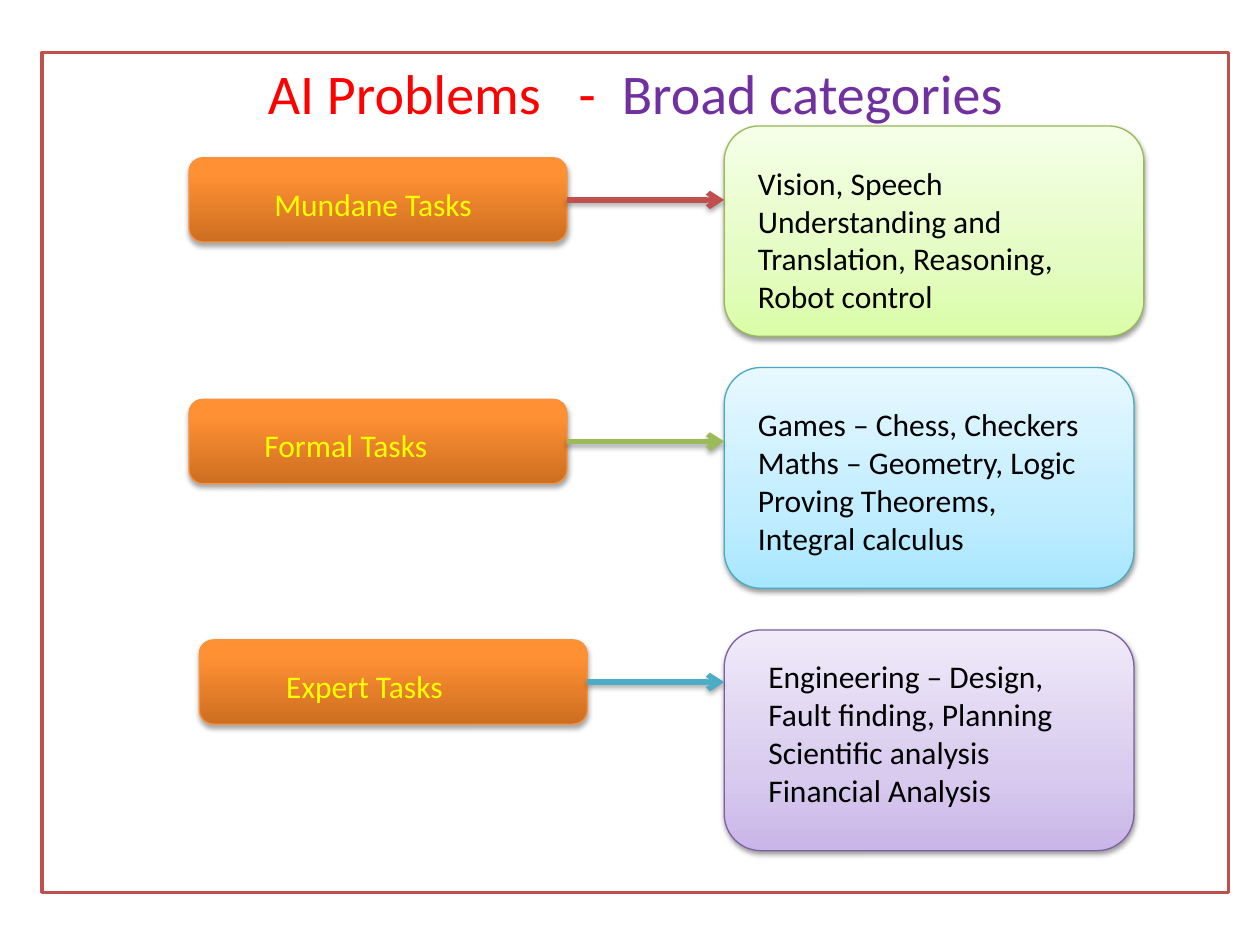
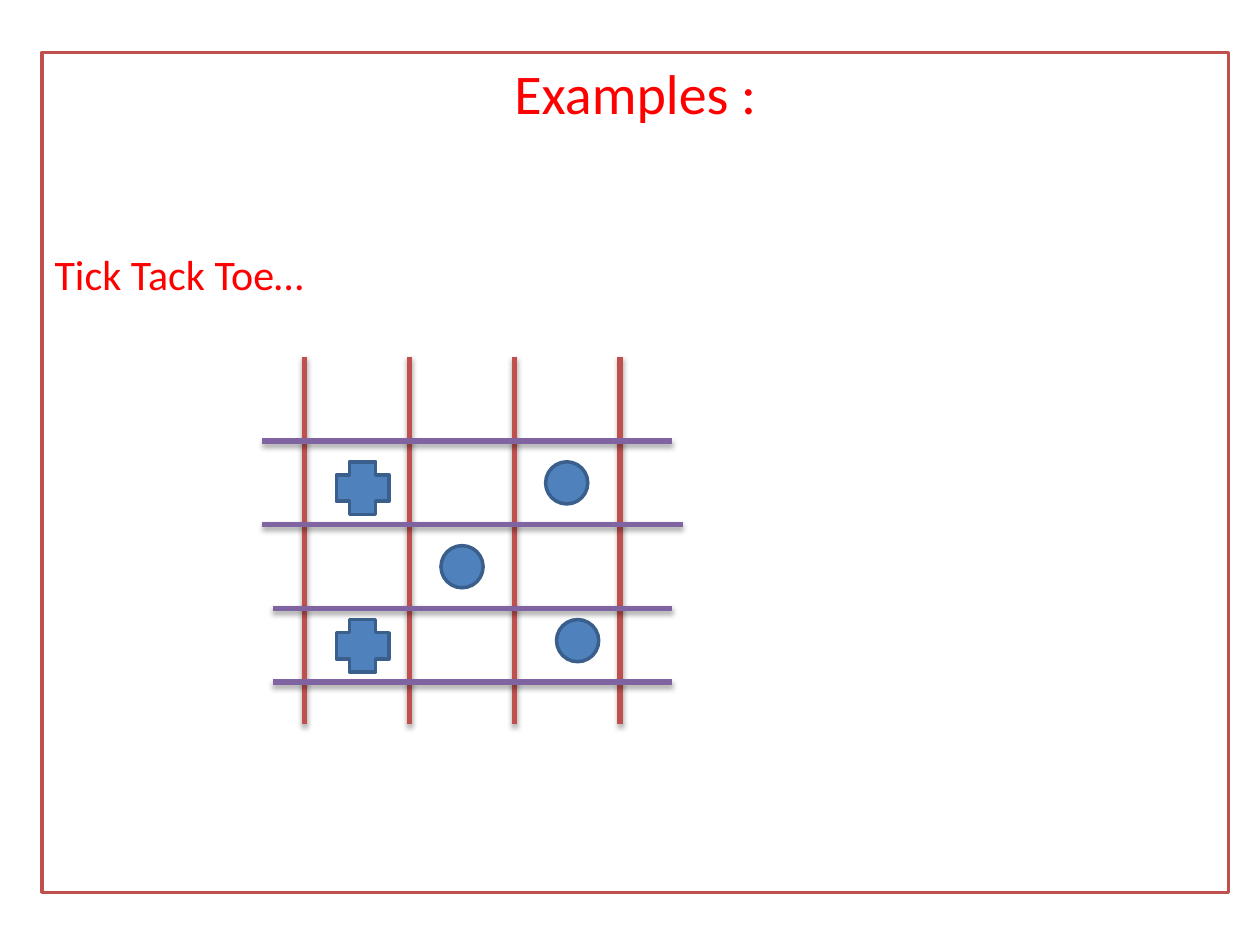
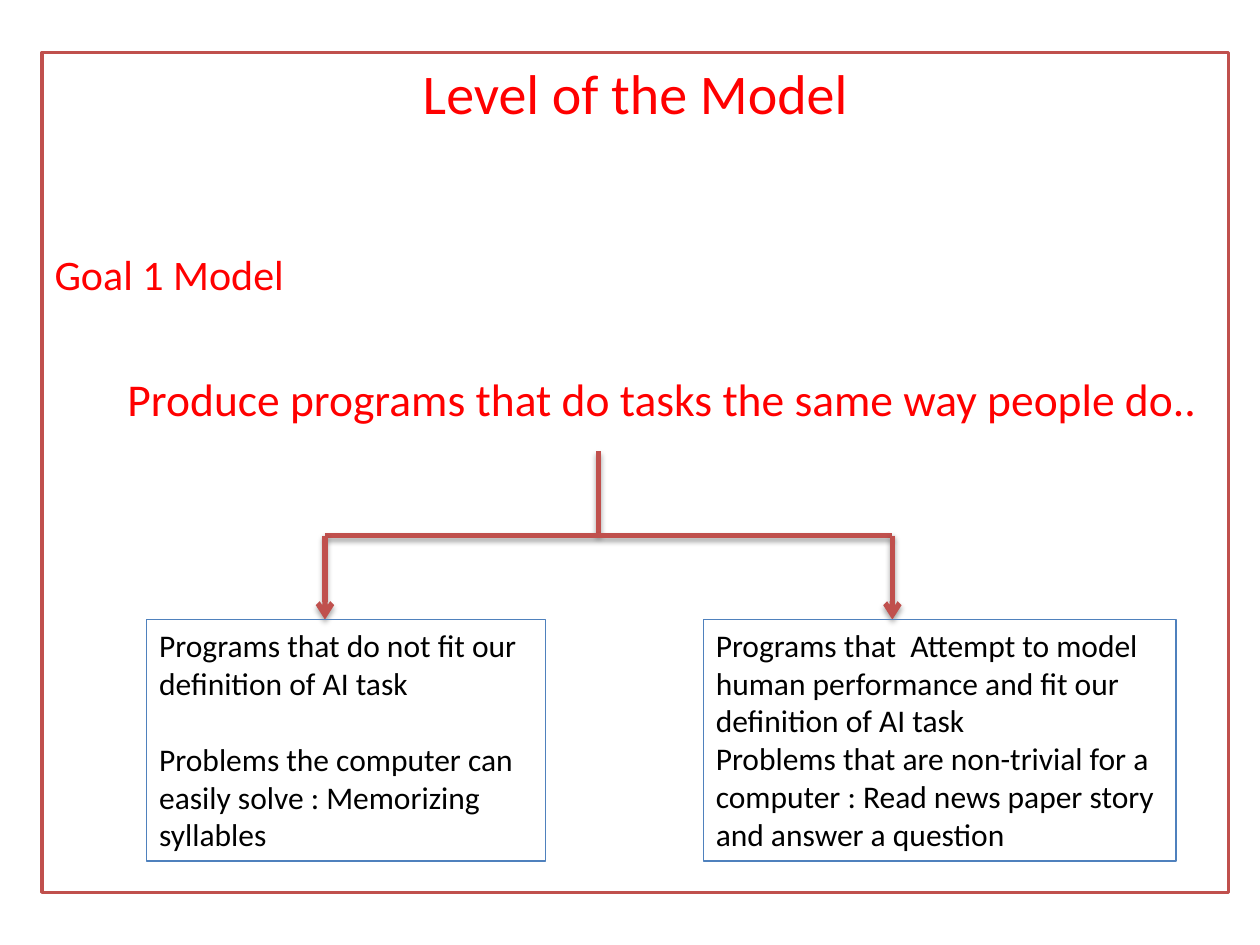
from collections import namedtuple
from copy import deepcopy

from pptx import Presentation, oxml
from pptx.dml.color import RGBColor
from pptx.enum import shapes, text
from pptx.oxml import ns
from pptx.util import Cm, Pt

FONT = "Calibri"
WHITE = RGBColor(0xFF, 0xFF, 0xFF)
BLACK = RGBColor(0x00, 0x00, 0x00)
RED = RGBColor(0xFF, 0x00, 0x00)
YELLOW = RGBColor(0xFF, 0xFF, 0x00)
TITLE_PURPLE = RGBColor(0x70, 0x30, 0xA0)
BRICK = RGBColor(0xC0, 0x50, 0x4D)
GREEN = RGBColor(0x9B, 0xBB, 0x59)
AQUA = RGBColor(0x4B, 0xAC, 0xC6)
PURPLE = RGBColor(0x80, 0x64, 0xA2)
BLUE = RGBColor(0x4F, 0x81, 0xBD)
DARK_BLUE = RGBColor(0x3A, 0x5F, 0x8C)
ORANGE_EDGE = RGBColor(0xF6, 0x92, 0x40)
GREEN_EDGE = RGBColor(0x98, 0xB9, 0x55)
AQUA_EDGE = RGBColor(0x46, 0xAA, 0xC5)
PURPLE_EDGE = RGBColor(0x7D, 0x60, 0xA0)

ORANGE_FADE = [(0, RGBColor(0xCC, 0x6E, 0x20)), (0.8, RGBColor(0xFF, 0x90, 0x34)),
               (1, RGBColor(0xFF, 0x91, 0x36))]
GREEN_FADE = [(0, RGBColor(0xDA, 0xFD, 0xA7)), (0.35, RGBColor(0xE4, 0xFC, 0xC2)),
              (1, RGBColor(0xF5, 0xFF, 0xE7))]
AQUA_FADE = [(0, RGBColor(0xA7, 0xE6, 0xFF)), (0.35, RGBColor(0xC1, 0xED, 0xFF)),
             (1, RGBColor(0xE7, 0xF8, 0xFF))]
PURPLE_FADE = [(0, RGBColor(0xC9, 0xB5, 0xE8)), (0.35, RGBColor(0xD8, 0xCB, 0xEE)),
               (1, RGBColor(0xF0, 0xEA, 0xF9))]

Box = namedtuple("Box", "left top width height")
Task = namedtuple("Task", "name button label_inset card text_inset fade edge arrow lines")

PANEL = Box(0.85, 1.06, 23.92, 16.93)
TASKS = [
    Task("Mundane Tasks", Box(3.81, 3.18, 7.62, 1.7), (1.47, 0.42),
         Box(14.6, 2.54, 8.46, 4.24), (0.43, 0.64), GREEN_FADE, GREEN_EDGE, BRICK,
         ["Vision, Speech", "Understanding and Translation, Reasoning, Robot control"]),
    Task("Formal Tasks", Box(3.81, 8.05, 7.62, 1.7), (1.27, 0.42),
         Box(14.6, 7.41, 8.26, 4.45), (0.43, 0.64), AQUA_FADE, AQUA_EDGE, GREEN,
         ["Games – Chess, Checkers", "Maths – Geometry, Logic",
          "Proving Theorems, Integral calculus"]),
    Task("Expert Tasks", Box(4.02, 12.9, 7.82, 1.7), (1.5, 0.42),
         Box(14.6, 12.7, 8.26, 4.45), (0.64, 0.43), PURPLE_FADE, PURPLE_EDGE, AQUA,
         ["Engineering – Design, Fault finding, Planning", "Scientific analysis",
          "Financial Analysis"]),
]


def lengths(box):
    return [Cm(value) for value in box]


def cast_shadow(item, blur, distance, opacity):
    properties = item._element.spPr
    for effects in properties.findall(ns.qn("a:effectLst")):
        properties.remove(effects)
    properties.append(oxml.parse_xml(
        f'<a:effectLst {ns.nsdecls("a")}><a:outerShdw blurRad="{Pt(blur)}" '
        f'dist="{Pt(distance)}" dir="5400000" rotWithShape="0"><a:srgbClr val="000000">'
        f'<a:alpha val="{opacity * 1000}"/></a:srgbClr></a:outerShdw></a:effectLst>'))


def style_font(para, size, color):
    for span in para.runs:
        span.font.name = FONT
        span.font.size = Pt(size)
        span.font.color.rgb = color


def add_shape(page, kind, box, edge, weight, fill=None):
    shape = page.shapes.add_shape(kind, *lengths(box))
    shape.shadow.inherit = False
    shape.line.color.rgb = edge
    shape.line.width = Pt(weight)
    if fill is not None:
        shape.fill.solid()
        shape.fill.fore_color.rgb = fill
    return shape


def add_faded_box(page, box, edge, fade, distance, opacity):
    shape = add_shape(page, shapes.MSO_SHAPE.ROUNDED_RECTANGLE, box, edge, 0.75)
    shape.fill.gradient()
    shape.fill.gradient_angle = 90
    stops = shape._element.spPr.find(ns.qn("a:gradFill")).find(ns.qn("a:gsLst"))
    stops.append(deepcopy(stops[0]))
    for stop, (position, color) in zip(shape.fill.gradient_stops, fade):
        stop.position = position
        stop.color.rgb = color
    cast_shadow(shape, 3.1, distance, opacity)
    return shape


def add_line(page, start, end, color, arrow=False):
    line = page.shapes.add_connector(
        shapes.MSO_CONNECTOR.STRAIGHT, *lengths(start + end))
    line.line.color.rgb = color
    line.line.width = Pt(3)
    if arrow:
        outline = line._element.spPr.find(ns.qn("a:ln"))
        outline.append(oxml.parse_xml(f'<a:tailEnd {ns.nsdecls("a")} type="arrow"/>'))
    cast_shadow(line, 3.1, 1.8, 35)
    return line


def add_text(page, box, lines, color=BLACK, gap=0):
    label = page.shapes.add_textbox(*lengths(box))
    label.text_frame.word_wrap = True
    label.text_frame.text = "\n".join(lines)
    for index, para in enumerate(label.text_frame.paragraphs):
        para.space_before = Pt(gap if index else 0)
        style_font(para, 18, color)
    return label


def add_panel(page, box, title, accent=""):
    panel = add_shape(page, shapes.MSO_SHAPE.RECTANGLE, box, BRICK, 2, WHITE)
    frame = panel.text_frame
    frame.vertical_anchor = text.MSO_ANCHOR.TOP
    frame.word_wrap = True
    frame.text = title
    para = frame.paragraphs[0]
    para.alignment = text.PP_ALIGN.CENTER
    style_font(para, 32, RED)
    if accent:
        span = para.add_run()
        span.text = accent
        style_font(para, 32, RED)
        span.font.color.rgb = TITLE_PURPLE
    return frame


def add_panel_line(frame, words, size, gap, indent=0):
    para = frame.add_paragraph()
    para.text = words
    para.alignment = text.PP_ALIGN.LEFT
    para.space_before = Pt(gap)
    para._p.get_or_add_pPr().set("marL", str(Cm(indent)))
    style_font(para, size, RED)


def add_task(page, task):
    button, card = task.button, task.card
    button_shape = add_faded_box(page, button, ORANGE_EDGE, ORANGE_FADE, 1.8, 35)
    add_faded_box(page, card, task.edge, task.fade, 1.6, 38)
    middle = button.top + button.height / 2
    arrow = add_line(page, (button.left + button.width, middle), (card.left, middle),
                     task.arrow, arrow=True)
    arrow.begin_connect(button_shape, 3)
    across, down = task.label_inset
    add_text(page, Box(button.left + across, button.top + down, 4.88, 1.02),
             [task.name], YELLOW)
    across, down = task.text_inset
    add_text(page, Box(card.left + across, card.top + down, 7.42, 3.33), task.lines)


def add_board(page, box):
    for column in range(4):
        x = box.left + 0.85 + 2.12 * column
        add_line(page, (x, box.top), (x, box.top + box.height), BRICK)
    for start, end, down in [(0, 8.26, 1.7), (0, 8.47, 3.39),
                             (0.21, 8.26, 5.08), (0.21, 8.26, 6.56)]:
        y = box.top + down
        add_line(page, (box.left + start, y), (box.left + end, y), PURPLE)
    cross, nought = shapes.MSO_SHAPE.CROSS, shapes.MSO_SHAPE.OVAL
    for kind, size, across, down in [
            (cross, 1.06, 1.49, 2.12), (nought, 0.85, 5.71, 2.12),
            (nought, 0.85, 3.6, 3.81), (nought, 0.85, 5.93, 5.3),
            (cross, 1.06, 1.49, 5.3)]:
        mark = Box(box.left + across, box.top + down, size, size)
        add_shape(page, kind, mark, DARK_BLUE, 2, BLUE)


def add_fork(page, box):
    stem = box.left + 5.51
    right = box.left + box.width
    bar = box.top + box.height / 2
    add_line(page, (stem, box.top), (stem, bar), BRICK)
    add_line(page, (box.left, bar), (right, bar), BRICK)
    for x in (box.left, right):
        add_line(page, (x, bar), (x, box.top + box.height), BRICK, arrow=True)


def add_outcome(page, box, lines, gap=0):
    outcome = add_text(page, box, lines, gap=gap)
    outcome.line.color.rgb = BLUE
    outcome.line.width = Pt(0.75)


def build_categories(page):
    add_panel(page, PANEL, "AI Problems   -  ", "Broad categories")
    for task in TASKS:
        add_task(page, task)


def build_examples(page):
    frame = add_panel(page, PANEL, "Examples :")
    add_panel_line(frame, "Tick Tack Toe…", 24, 70)
    add_board(page, Box(5.29, 7.19, 8.47, 7.41))


def build_model(page):
    frame = add_panel(page, PANEL, "Level of the Model")
    add_panel_line(frame, "Goal 1 Model", 24, 70)
    add_panel_line(frame, "Produce programs that do tasks the same way people do..",
                   26, 41, 1.47)
    add_fork(page, Box(6.55, 9.1, 11.44, 3.39))
    add_outcome(page, Box(2.96, 12.49, 8.04, 4.87),
                ["Programs that do not fit our definition of AI task",
                 "Problems the computer can easily solve : Memorizing syllables"], 22)
    add_outcome(page, Box(14.18, 12.49, 9.53, 4.87),
                ["Programs that  Attempt to model human performance and fit our "
                 "definition of AI task",
                 "Problems that are non-trivial for a computer : Read news paper story "
                 "and answer a question"])


def main():
    deck = Presentation()
    deck.slide_width, deck.slide_height = Cm(25.4), Cm(19.05)
    for build in (build_categories, build_examples, build_model):
        build(deck.slides.add_slide(deck.slide_layouts[6]))
    deck.save("out.pptx")


if __name__ == "__main__":
    main()
